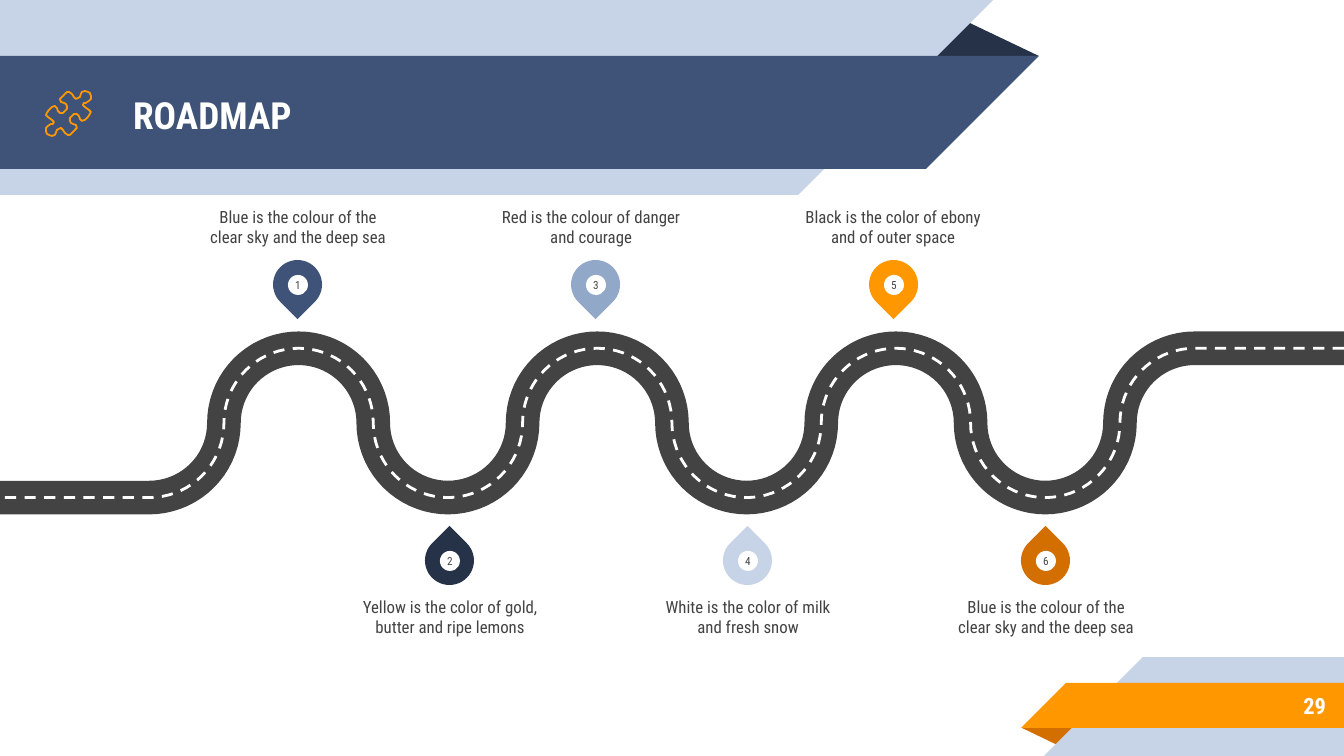
from math import cos, radians, sin

from pptx import Presentation
from pptx.dml.color import RGBColor
from pptx.enum.dml import MSO_LINE
from pptx.enum.shapes import MSO_SHAPE as KIND
from pptx.enum.text import MSO_ANCHOR as ANCHOR, PP_ALIGN as ALIGN
from pptx.util import Pt

PX = 9144000 / 1344
WIDE, HIGH = 1344, 756
FONT = "Roboto Condensed"
HEX = {
    "white": "FFFFFF", "gray": "434343", "navy": "263248", "blue": "3F5378",
    "steel": "92A8C8", "pale": "C7D3E6", "gold": "FF9800", "rust": "D26F00",
}
TONE = {name: RGBColor.from_string(code) for name, code in HEX.items()}

deck = Presentation()
deck.slide_width, deck.slide_height = round(WIDE * PX), round(HIGH * PX)
slide = deck.slides.add_slide(deck.slide_layouts[6])
shapes = slide.shapes


def add(kind, box, tone, turn=0):
    """Add a plain filled shape, or a text box when kind is None."""
    spot = [round(n * PX) for n in box]
    if kind is None:
        return shapes.add_textbox(*spot)
    shape = shapes.add_shape(kind, *spot)
    shape.shadow.inherit = False
    shape.fill.solid()
    shape.fill.fore_color.rgb = TONE[tone]
    shape.line.fill.background()
    shape.rotation = turn
    return shape


def write(shape, text, size, tone, align, anchor=ANCHOR.MIDDLE, pad=0, bold=False):
    frame = shape.text_frame
    look = {"word_wrap": True, "vertical_anchor": anchor}
    for side in ("left", "right", "top", "bottom"):
        look[f"margin_{side}"] = round(pad * PX)
    for name, value in look.items():
        setattr(frame, name, value)
    line = frame.paragraphs[0]
    line.alignment = align
    run = line.add_run()
    run.text = text
    for name, value in {"name": FONT, "size": Pt(size), "bold": bold}.items():
        setattr(run.font, name, value)
    run.font.color.rgb = TONE[tone]


# Ribbons: each band ends in a right triangle of the same height
bands = [
    (KIND.ISOSCELES_TRIANGLE, (925, 19, 114, 37), "navy", 0),
    (KIND.RECTANGLE, (0, 0, 798, 195), "pale", 0),
    (KIND.RIGHT_TRIANGLE, (798, 0, 195, 195), "pale", 90),
    (KIND.RECTANGLE, (0, 56, 926, 113), "blue", 0),
    (KIND.RIGHT_TRIANGLE, (926, 56, 113, 113), "blue", 90),
    (KIND.ISOSCELES_TRIANGLE, (1022, 728, 58, 19), "rust", 180),
    (KIND.RECTANGLE, (1143, 657, 201, 99), "pale", 0),
    (KIND.RIGHT_TRIANGLE, (1044, 657, 99, 99), "pale", 270),
    (KIND.RECTANGLE, (1066, 683, 278, 45), "gold", 0),
    (KIND.RIGHT_TRIANGLE, (1021, 683, 45, 45), "gold", 270),
]
for kind, box, tone, turn in bands:
    shape = add(kind, box, tone, turn)
    if kind == KIND.ISOSCELES_TRIANGLE:
        shape.adjustments[0] = 0.32

write(add(None, (120, 58, 773, 113), None), "ROADMAP", 20, "white",
      ALIGN.LEFT, pad=13, bold=True)
write(add(None, (1120, 682, 219, 47), None), "29", 12, "white",
      ALIGN.RIGHT, pad=13, bold=True)

# Road: half circles that swing below and above its middle line
step = WIDE / 9
bend = step / 2
mid = 423
road = [(0, mid + bend)]
for turn in range(1, 9):
    side = 1 if turn % 2 else -1
    start = 90 if turn == 1 else 180
    end = 90 if turn == 8 else 0
    for angle in range(start, end - 1, -5):
        arc = radians(angle)
        road.append((turn * step + bend * cos(arc), mid + side * bend * sin(arc)))
road.append((WIDE, mid - bend))
road.reverse()

# Puzzle piece: the second half is the first one turned by 180 degrees
half = [
    (86, 103), (89, 101), (91, 99), (91, 96), (90, 93), (88, 92), (85, 91),
    (82, 92), (81, 94), (80, 97), (78, 98), (76, 99), (74, 97), (72, 94),
    (69, 92), (67, 92), (65, 94), (62, 97), (60, 99), (61, 102), (64, 103),
    (66, 104), (67, 106), (67, 109), (65, 111), (63, 113), (60, 113),
    (58, 111), (57, 108), (55, 106), (52, 107), (49, 110), (47, 113),
    (46, 115), (48, 117), (52, 120), (54, 122), (53, 124),
]
piece = half + [(137 - x, 227 - y) for x, y in half]

for dots, shut, tone, width, dash in [
    (road, False, "gray", 18, None),
    (road, False, "white", 1.5, MSO_LINE.DASH),
    (piece, True, "gold", 0.96, None),
]:
    spots = [(round(x * PX), round(y * PX)) for x, y in dots]
    pen = shapes.build_freeform(*spots[0], scale=1.0)
    pen.add_line_segments(spots[1:], close=shut)
    path = pen.convert_to_shape()
    path.shadow.inherit = False
    path.fill.background()
    path.line.color.rgb = TONE[tone]
    path.line.width = Pt(width)
    if dash:
        path.line.dash_style = dash

# Pins: odd ones above the road, even ones below
marks = [
    ("blue", 203, "Blue is the colour of the clear sky and the deep sea"),
    ("navy", 355, "Yellow is the color of gold, butter and ripe lemons"),
    ("steel", 496, "Red is the colour of danger and courage"),
    ("pale", 653, "White is the color of milk and fresh snow"),
    ("gold", 798, "Black is the color of ebony and of outer space"),
    ("rust", 951, "Blue is the colour of the clear sky and the deep sea"),
]
for index, (tone, left, text) in enumerate(marks):
    above = index % 2 == 0
    x = (273 if above else 425) + index // 2 * 298
    y = 260 if above else 536
    add(KIND.TEAR, (x, y, 49, 49), tone, 135 if above else 315)
    dot = add(KIND.OVAL, (x + 15, y + 15, 20, 20), "white")
    write(dot, str(index + 1), 6, "gray", ALIGN.CENTER)
    note = add(None, (left, 169 if above else 597, 190, 78), None)
    write(note, text, 9, "gray", ALIGN.CENTER,
          ANCHOR.BOTTOM if above else ANCHOR.TOP)

deck.save("out.pptx")
